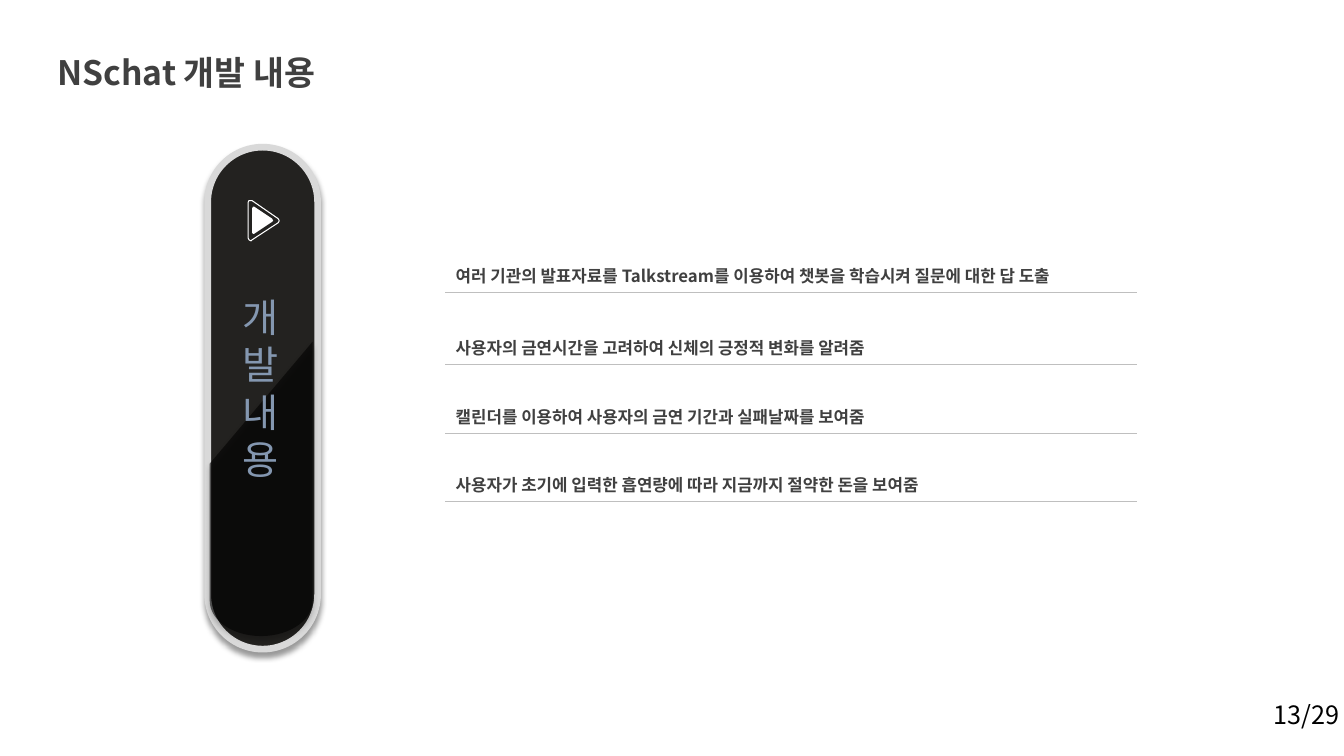
import math
import pptx
import pptx.util
import pptx.oxml
import pptx.oxml.ns
import pptx.dml.color
import pptx.enum.shapes
import pptx.enum.text
from pptx.util import Inches

FONT = "Noto Sans CJK KR"
NS = pptx.oxml.ns.nsdecls("a")
SHADE = (f'<a:effectLst {NS}><a:outerShdw blurRad="50800" dist="38100" dir="5400000" '
         'rotWithShape="0"><a:srgbClr val="000000"><a:alpha val="40000"/></a:srgbClr>'
         '</a:outerShdw></a:effectLst>')


def paint(color, tone):
    color.rgb = pptx.dml.color.RGBColor.from_string(tone)


def write(para, text, size, tone, bold=False, lead=None):
    para.text = text
    para.alignment = pptx.enum.text.PP_ALIGN.LEFT
    if lead:
        para.line_spacing = pptx.util.Pt(lead)
    para.font.size = pptx.util.Pt(size)
    para.font.bold = bold
    para.font.name = FONT
    paint(para.font.color, tone)
    # Korean letters take the East Asian font
    para._p.pPr.find(pptx.oxml.ns.qn("a:defRPr")).append(
        pptx.oxml.parse_xml(f'<a:ea {NS} typeface="{FONT}"/>'))


deck = pptx.Presentation()
deck.slide_width, deck.slide_height = Inches(13.33), Inches(7.5)
slide = deck.slides.add_slide(deck.slide_layouts[5])
shapes = slide.shapes

# Title
title = shapes.title
title.left, title.top = Inches(0.47), Inches(0.27)
title.width, title.height = Inches(5.73), Inches(0.63)
title.text_frame.vertical_anchor = pptx.enum.text.MSO_ANCHOR.TOP
write(title.text_frame.paragraphs[0], "NSchat 개발 내용", 24, "404040", True, 43)

# Dark capsule
pill = shapes.add_shape(pptx.enum.shapes.MSO_SHAPE.ROUNDED_RECTANGLE,
                        Inches(2.06), Inches(1.46), Inches(1.09), Inches(4.98))
pill.adjustments[0] = 0.5
pill.fill.solid()
paint(pill.fill.fore_color, "232220")
paint(pill.line.color, "D9D9D9")
pill.line.width = pptx.util.Pt(4.75)
pill._element.spPr.append(pptx.oxml.parse_xml(SHADE))

# Outlines: darker lower half with a rounded foot, play ring, play core
foot = [(2.59 + 0.51 * math.cos(math.radians(turn)),
         5.96 + 0.35 * math.sin(math.radians(turn))) for turn in range(0, 181, 6)]
half = [(3.1, 3.39)] + foot + [(2.08, 4.6)]
ring = [(2.76, 2.17), (2.5, 1.99), (2.47, 1.99), (2.46, 2.01), (2.46, 2.36),
        (2.47, 2.38), (2.49, 2.39), (2.5, 2.38), (2.76, 2.21), (2.77, 2.19)]
core = [(2.7, 2.17), (2.52, 2.05), (2.51, 2.05), (2.5, 2.07), (2.5, 2.31),
        (2.51, 2.32), (2.52, 2.32), (2.7, 2.2), (2.71, 2.19)]
drawn = []
for points, fill, line in ((half, "000000", None), (ring, None, "FFFFFF"),
                           (core, "FFFFFF", None)):
    spots = [(Inches(x), Inches(y)) for x, y in points]
    pen = shapes.build_freeform(*spots[0])
    pen.add_line_segments(spots[1:], close=True)
    form = pen.convert_to_shape()
    if fill:
        form.fill.solid()
        paint(form.fill.fore_color, fill)
    else:
        form.fill.background()
    if line:
        paint(form.line.color, line)
        form.line.width = pptx.util.Pt(0.75)
    else:
        form.line.fill.background()
    form.shadow.inherit = False
    drawn.append(form)

# The lower half is see-through and casts a shadow
props = drawn[0]._element.spPr
props.find(pptx.oxml.ns.qn("a:solidFill"))[0].append(
    pptx.oxml.parse_xml(f'<a:alpha {NS} val="57000"/>'))
props.replace(props.find(pptx.oxml.ns.qn("a:effectLst")), pptx.oxml.parse_xml(SHADE))

# Capsule label, one syllable a line
label = shapes.add_textbox(Inches(2.06), Inches(2.86), Inches(1.04), Inches(1.99))
frame = label.text_frame
frame.word_wrap = True
for index, letter in enumerate("개발내용"):
    para = frame.add_paragraph() if index else frame.paragraphs[0]
    write(para, letter, 28, "8497B0", lead=33.8)
    para.alignment = pptx.enum.text.PP_ALIGN.CENTER

# Feature table, ruled under each row
rows = [(0.79, "여러 기관의 발표자료를 Talkstream를 이용하여 챗봇을 학습시켜 질문에 대한 답 도출"),
        (0.72, "사용자의 금연시간을 고려하여 신체의 긍정적 변화를 알려줌"),
        (0.68, "캘린더를 이용하여 사용자의 금연 기간과 실패날짜를 보여줌"),
        (0.68, "사용자가 초기에 입력한 흡연량에 따라 지금까지 절약한 돈을 보여줌")]
table = shapes.add_table(len(rows), 1, Inches(4.42), Inches(2.11),
                         Inches(6.85), Inches(2.87)).table
table.first_row = table.horz_banding = False
for index, (height, text) in enumerate(rows):
    table.rows[index].height = Inches(height)
    cell = table.cell(index, 0)
    cell.vertical_anchor = pptx.enum.text.MSO_ANCHOR.BOTTOM
    write(cell.text_frame.paragraphs[0], text, 12, "404040", True)
    cell.fill.background()
    for place, side in enumerate(("lnT", "lnB") if index else ("lnB",)):
        cell._tc.tcPr.insert(place, pptx.oxml.parse_xml(
            f'<a:{side} {NS} w="12700"><a:solidFill><a:srgbClr val="BFBFBF"/>'
            f'</a:solidFill></a:{side}>'))

# Page number
page = shapes.add_textbox(Inches(12.53), Inches(6.89), Inches(0.96), Inches(0.4))
page.text_frame.word_wrap = True
write(page.text_frame.paragraphs[0], "13/29", 18, "000000", lead=21.6)

deck.save("out.pptx")
